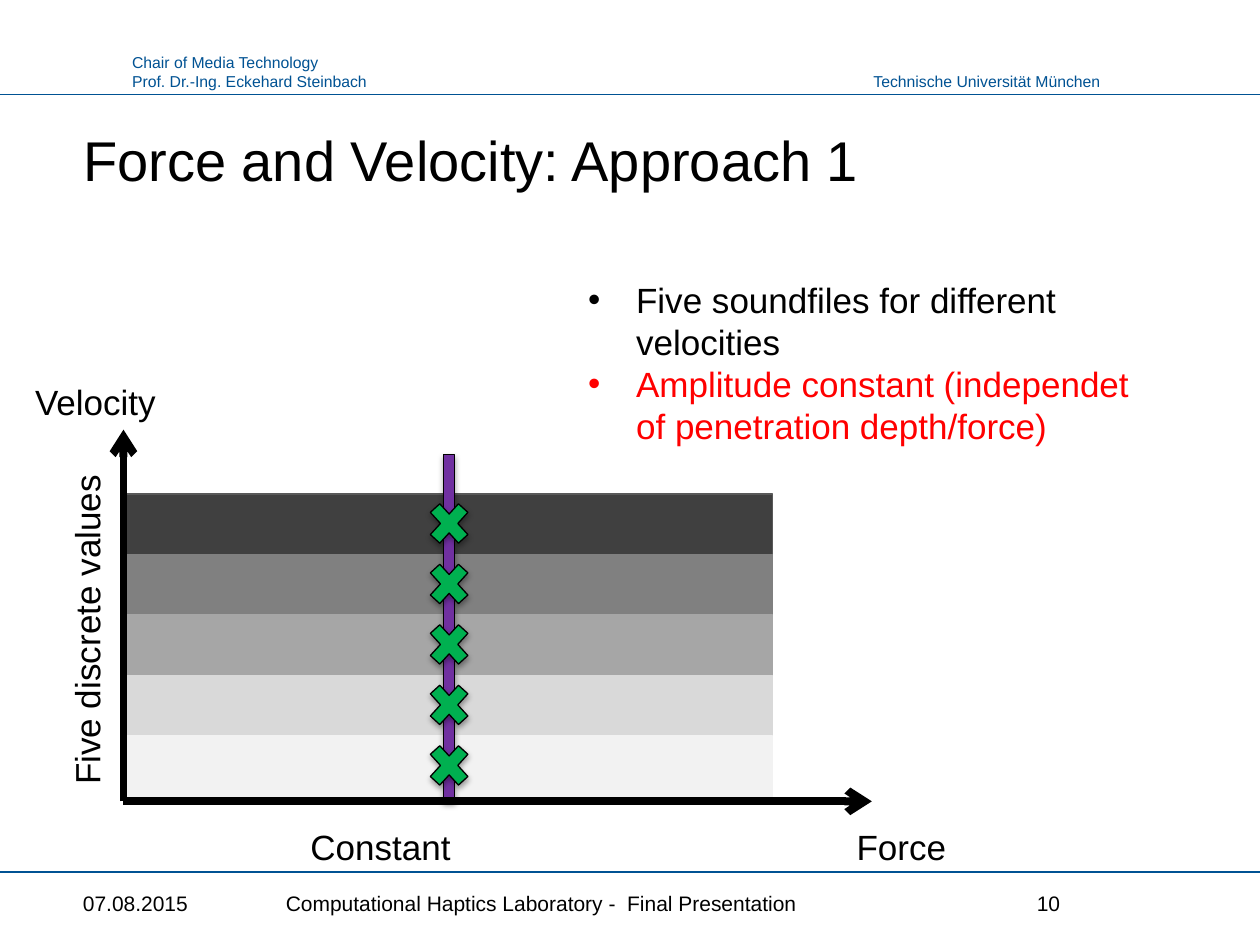
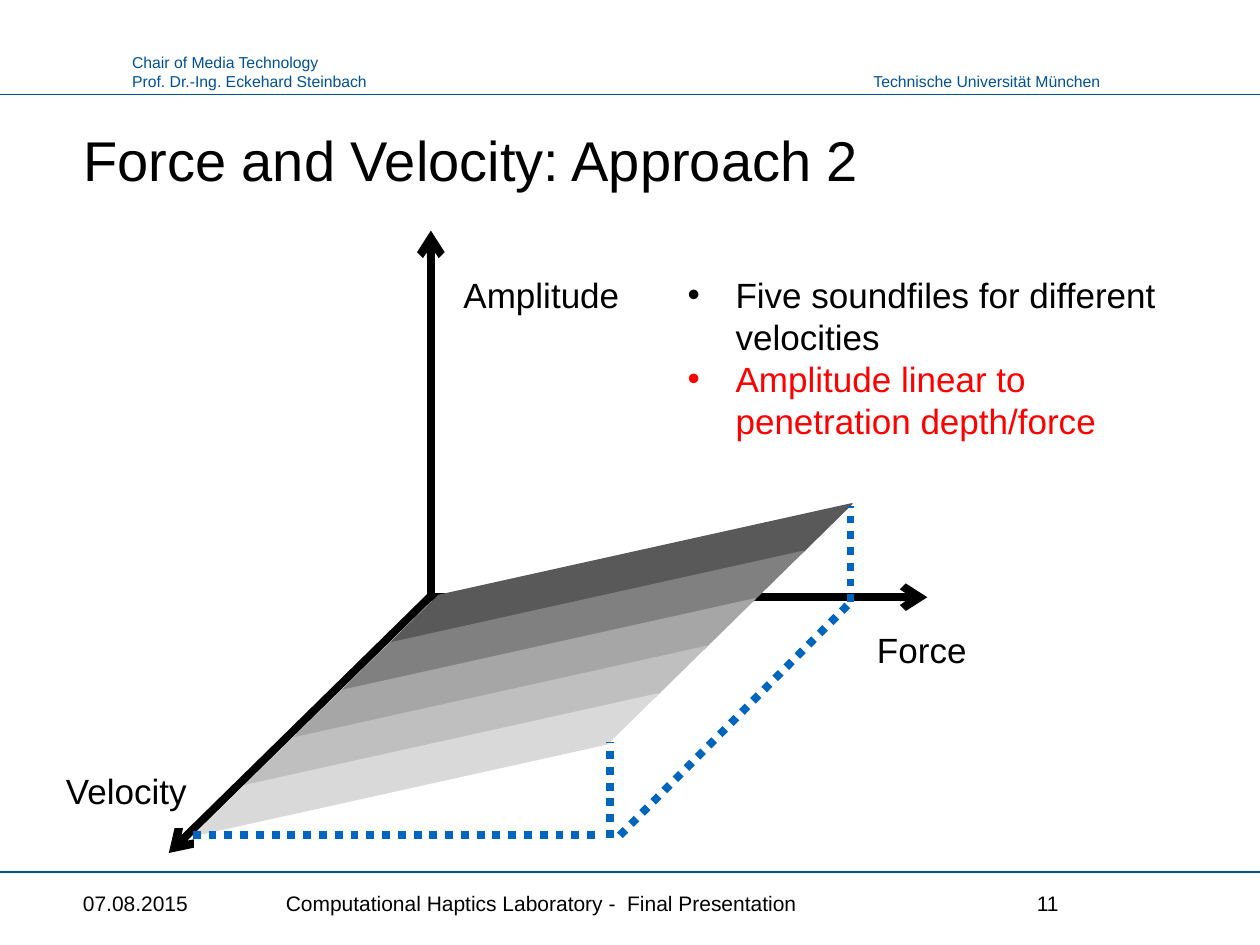
from lxml.etree import SubElement
from pptx import Presentation
from pptx.dml.color import RGBColor
from pptx.enum.dml import MSO_LINE
from pptx.enum.shapes import MSO_CONNECTOR, MSO_SHAPE
from pptx.enum.text import MSO_ANCHOR, PP_ALIGN
from pptx.oxml.ns import qn
from pptx.util import Inches, Pt

# Shared look
FONT = "Arial"
BLACK, RED, NAVY, BLUE = "000000", "FF0000", "005293", "0065BD"
GREEN, PURPLE = "00B050", "7030A0"
LEFT, MID, RIGHT = PP_ALIGN.LEFT, PP_ALIGN.CENTER, PP_ALIGN.RIGHT
color = RGBColor.from_string

# The slide is a grid of 10 columns by 7.5 rows, one inch each
deck = Presentation()
deck.slide_width, deck.slide_height = Inches(10), Inches(7.5)


def write(page, text, box, size=20, hue=BLACK, align=LEFT, wrap=True):
    label = page.shapes.add_textbox(*map(Inches, box))
    frame = label.text_frame
    frame.word_wrap = wrap
    frame.text = text
    for para in frame.paragraphs:
        para.alignment = align
        para.font.name, para.font.size = FONT, Pt(size)
        para.font.color.rgb = color(hue)
    return label


def draw(page, start, end, hue=BLACK, width=4.5, arrow=False, dots=False):
    line = page.shapes.add_connector(
        MSO_CONNECTOR.STRAIGHT, *map(Inches, (*start, *end)))
    line.line.color.rgb = color(hue)
    line.line.width = Pt(width)
    if dots:
        line.line.dash_style = MSO_LINE.ROUND_DOT
    props = line._element.spPr
    if arrow:
        SubElement(props.find(qn("a:ln")), qn("a:tailEnd"), type="arrow")
    SubElement(props, qn("a:effectLst"))


# Title, bands, footer and bullets of both slides
topics = [
    ("Force and Velocity: Approach 1", "10", (4.57, 2.16, 4.69, 1.45),
     "Amplitude constant (independet of penetration depth/force)"),
    ("Force and Velocity: Approach 2", "11", (5.36, 2.12, 4.13, 1.45),
     "Amplitude linear to penetration depth/force"),
]
pages = []
for name, number, box, claim in topics:
    page = deck.slides.add_slide(deck.slide_layouts[5])
    pages.append(page)

    title = page.shapes.title
    title.left, title.top = Inches(0.56), Inches(0.93)
    title.width, title.height = Inches(8.89), Inches(0.66)
    title.text_frame.text = name
    title.text_frame.vertical_anchor = MSO_ANCHOR.MIDDLE
    para = title.text_frame.paragraphs[0]
    para.alignment = LEFT
    para.font.name, para.font.size = FONT, Pt(32)
    para.font.color.rgb = color(BLACK)

    for row in (0.75, 6.92):
        draw(page, (0, row), (10, row), NAVY, 0.75)
    write(page, "Chair of Media Technology\nProf. Dr.-Ing. Eckehard Steinbach",
          (0.95, 0.37, 2.08, 0.4), 9, NAVY, wrap=False)
    write(page, "Technische Universität München",
          (6.81, 0.52, 2.02, 0.25), 9, NAVY, RIGHT, wrap=False)

    for text, col, width in (
            ("07.08.2015", 0.56, 1.32),
            ("Computational Haptics Laboratory -  Final Presentation", 2.17, 5.65),
            (number, 8.13, 1.31)):
        foot = write(page, text, (col, 7, width, 0.33), 12)
        foot.text_frame.vertical_anchor = MSO_ANCHOR.MIDDLE

    points = write(page, "Five soundfiles for different velocities\n" + claim, box)
    for para in points.text_frame.paragraphs:
        props = para._p.get_or_add_pPr()
        props.set("marL", str(Inches(0.38)))
        props.set("indent", str(-Inches(0.38)))
        mark = SubElement(props, qn("a:buFont"), typeface=FONT)
        props.insert(0, mark)
        mark.addnext(props.makeelement(qn("a:buChar"), {"char": "•"}))
    para.font.color.rgb = color(RED)
    for run in para.runs:
        run.font.color.rgb = color(RED)

flat, slope = pages

# Approach 1: five bands, constant force, crosses
write(flat, "Velocity", (0.18, 2.97, 1.34, 0.44))
write(flat, "Force", (6.7, 6.5, 1.34, 0.44))
write(flat, "Constant", (1.66, 6.5, 2.72, 0.44), align=MID)
write(flat, "Five discrete values", (-0.67, 4.78, 2.72, 0.44), align=MID).rotation = 270

for i, tone in enumerate(("404040", "808080", "A6A6A6", "D9D9D9", "F2F2F2")):
    band = flat.shapes.add_shape(
        MSO_SHAPE.RECTANGLE, *map(Inches, (1, 3.92 + 0.48 * i, 5.13, 0.48)))
    band.shadow.inherit = False
    band.fill.solid()
    band.fill.fore_color.rgb = color(tone)
    band.line.color.rgb = color("595959" if i == 0 else tone)
    band.line.width = Pt(0.75)

# The bar and the crosses keep the theme's soft shadow
marks = [(MSO_SHAPE.RECTANGLE, PURPLE, (3.52, 3.61, 0.09, 2.75))]
marks += [(MSO_SHAPE.MATH_MULTIPLY, GREEN, (3.35, 3.92 + 0.48 * i, 0.43, 0.47))
          for i in range(5)]
for kind, hue, box in marks:
    mark = flat.shapes.add_shape(kind, *map(Inches, box))
    mark.fill.solid()
    mark.fill.fore_color.rgb = color(hue)
    mark.line.color.rgb = color(BLACK)
    mark.line.width = Pt(0.75)

for end in ((6.92, 6.36), (0.98, 3.41)):
    draw(flat, (0.98, 6.36), end, arrow=True)

# Approach 2: axes, tilted bands, dotted guides
write(slope, "Velocity", (0.24, 6.06, 1.34, 0.44), align=RIGHT)
write(slope, "Force", (6.43, 4.94, 1.34, 0.44), align=RIGHT)
write(slope, "Amplitude", (3.58, 2.12, 1.53, 0.44))

for start, end in (((3.42, 4.74), (7.36, 4.74)),
                   ((3.42, 4.74), (3.42, 1.83)),
                   ((3.44, 4.71), (1.34, 6.77))):
    draw(slope, start, end, arrow=True)

for i, tone in enumerate(("595959", "808080", "A6A6A6", "BFBFBF", "D9D9D9")):
    box = (3 - 1.54 * i / 4, 4.41 + 1.51 * i / 4, 3.84, 0.3)
    band = slope.shapes.add_shape(MSO_SHAPE.PARALLELOGRAM, *map(Inches, box))
    band.adjustments[0] = 1.6
    band.rotation = 347.5
    band.shadow.inherit = False
    band.fill.solid()
    band.fill.fore_color.rgb = color(tone)
    band.line.color.rgb = color(tone)
    band.line.width = Pt(0.75)

for start, end in (((1.53, 6.63), (4.75, 6.63)),
                   ((4.84, 6.65), (4.84, 5.89)),
                   ((4.92, 6.63), (6.75, 4.78)),
                   ((6.75, 4.78), (6.75, 4.02))):
    draw(slope, start, end, BLUE, dots=True)

deck.save("out.pptx")
